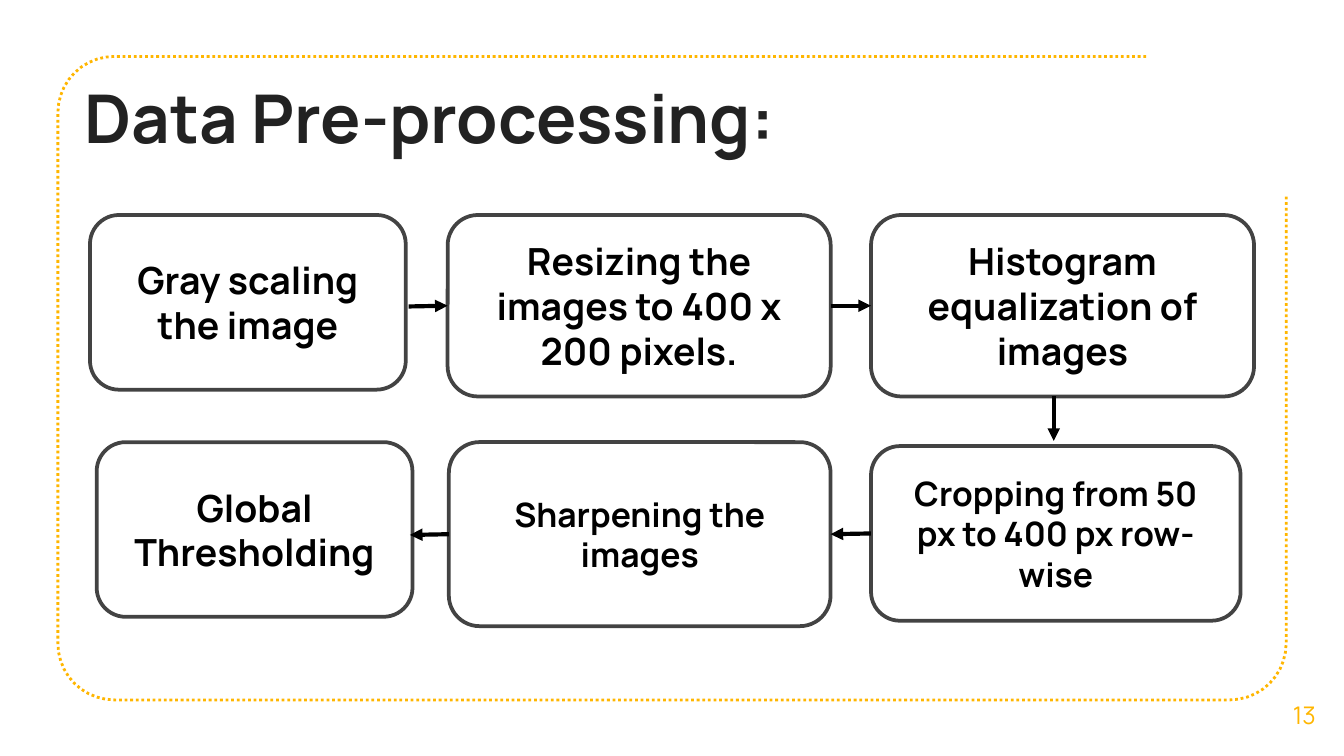
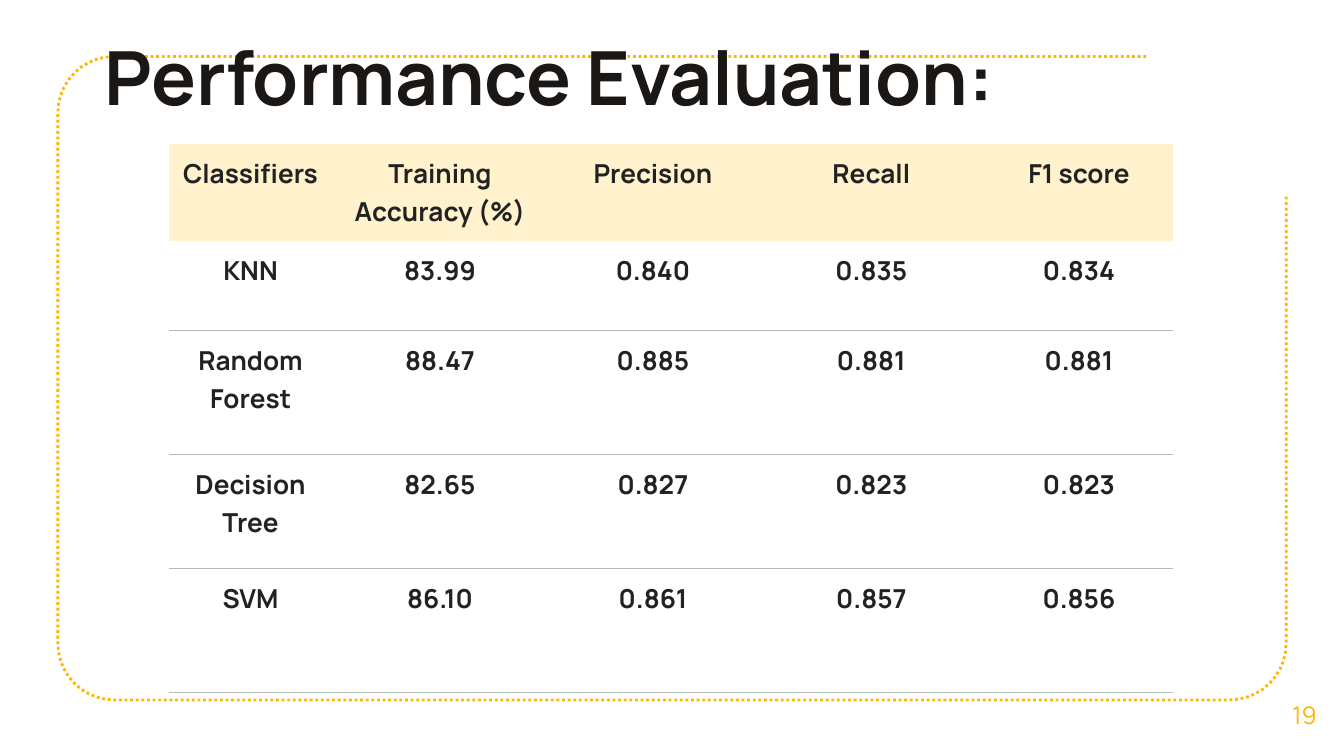
from math import cos, radians, sin

from lxml import etree
from pptx import Presentation
from pptx.dml.color import RGBColor
from pptx.enum.dml import MSO_LINE
from pptx.enum.shapes import MSO_CONNECTOR, MSO_SHAPE
from pptx.enum.text import MSO_ANCHOR, PP_ALIGN
from pptx.oxml.ns import qn
from pptx.util import Pt

FONT = "Manrope"
GOLD = RGBColor(0xFF, 0xB6, 0x00)
CREAM = RGBColor(0xFF, 0xF2, 0xCC)
WHITE = RGBColor(0xFF, 0xFF, 0xFF)
BLACK = RGBColor(0x00, 0x00, 0x00)
INK = RGBColor(0x22, 0x22, 0x22)
BROWN = RGBColor(0x1A, 0x17, 0x14)
EDGE = RGBColor(0x43, 0x43, 0x43)
RULE = RGBColor(0xB4, 0xB9, 0xB9)
LEFT, CENTER = PP_ALIGN.LEFT, PP_ALIGN.CENTER
TOP, MIDDLE = MSO_ANCHOR.TOP, MSO_ANCHOR.MIDDLE
ROUND = MSO_SHAPE.ROUNDED_RECTANGLE
STRAIGHT = MSO_CONNECTOR.STRAIGHT
DOT = MSO_LINE.ROUND_DOT

STEPS = {
    "gray": ("Gray scaling the image", 20, (48.2, 115.2, 169.2, 93.6)),
    "resize": ("Resizing the images to 400 x 200 pixels.", 20,
               (239.8, 115.2, 205.2, 97.2)),
    "level": ("Histogram equalization of images", 20,
              (466.6, 115.2, 205.2, 97.2)),
    "crop": ("Cropping from 50 px to 400 px row-wise", 18,
             (466.6, 239, 198, 93.6)),
    "sharpen": ("Sharpening the images", 18, (240.5, 236.9, 204.5, 98.6)),
    "global": ("Global Thresholding", 20, (51.8, 236.9, 169.2, 93.6)),
}
ARROWS = [
    ((218.9, 164.2), ("resize", 1)),
    (("resize", 3), ("level", 1)),
    ((564.5, 212.4), (564.5, 236.2)),
    (("crop", 1), ("sharpen", 3)),
    (("sharpen", 1), (219.6, 286.6)),
]
SCORES = [
    ("Classifiers", "Training Accuracy (%)", "Precision", "Recall", "F1 score"),
    ("KNN", "83.99", "0.840", "0.835", "0.834"),
    ("Random Forest", "88.47", "0.885", "0.881", "0.881"),
    ("Decision Tree", "82.65", "0.827", "0.823", "0.823"),
    ("SVM", "86.10", "0.861", "0.857", "0.856"),
]
COLS = [87.1, 115.9, 112.3, 121.7, 100.8]
ROWS = [52, 48, 66.4, 61.2, 66.4]


def write(frame, text, size=14, color=INK, bold=True, align=CENTER,
          space=None, after=None):
    para = frame.paragraphs[0]
    para.alignment = align
    para.line_spacing = space
    if after:
        para.space_after = Pt(after)
    run = para.add_run()
    run.text = text
    font = run.font
    font.name, font.size, font.bold = FONT, Pt(size), bold
    font.color.rgb = color


def label(slide, text, area, anchor=TOP, **style):
    frame = slide.shapes.add_textbox(*map(Pt, area)).text_frame
    frame.word_wrap = True
    frame.vertical_anchor = anchor
    frame.margin_top = frame.margin_bottom = Pt(7.2)
    write(frame, text, **style)


def border(slide):
    left, top, right, low, rad = 31, 30.25, 689, 375, 30.25
    dots = [(614, top)]
    for x, y, start in ((left + rad, top + rad, 270),
                        (left + rad, low - rad, 180),
                        (right - rad, low - rad, 90)):
        for step in range(11):
            turn = radians(start - 9 * step)
            dots.append((x + rad * cos(turn), y + rad * sin(turn)))
    dots.append((right, 105))
    pens = [(Pt(x), Pt(y)) for x, y in dots]
    build = slide.shapes.build_freeform(*pens[0])
    build.add_line_segments(pens[1:], close=False)
    shape = build.convert_to_shape()
    shape.shadow.inherit = False
    shape.fill.background()
    shape.line.color.rgb = GOLD
    shape.line.width = Pt(1.5)
    shape.line.dash_style = DOT


def page(deck, title, area, number, **style):
    slide = deck.slides.add_slide(deck.slide_layouts[6])
    border(slide)
    label(slide, title, area, align=LEFT, **style)
    label(slide, number, (677.5, 361.4, 42.5, 43), anchor=MIDDLE,
          size=13, color=GOLD, bold=False)
    return slide


def box(slide, text, size, area):
    shape = slide.shapes.add_shape(ROUND, *map(Pt, area))
    shape.shadow.inherit = False
    shape.fill.solid()
    shape.fill.fore_color.rgb = WHITE
    shape.line.color.rgb = EDGE
    shape.line.width = Pt(2)
    frame = shape.text_frame
    frame.word_wrap = True
    frame.vertical_anchor = MIDDLE
    write(frame, text, size=size, color=BLACK)
    return shape


def arrow(slide, boxes, start, end):
    link = slide.shapes.add_connector(STRAIGHT, 0, 0, 0, 0)
    if start[0] in boxes:
        link.begin_connect(boxes[start[0]], start[1])
    else:
        link.begin_x, link.begin_y = map(Pt, start)
    if end[0] in boxes:
        link.end_connect(boxes[end[0]], end[1])
    else:
        link.end_x, link.end_y = map(Pt, end)
    link.line.color.rgb = BLACK
    link.line.width = Pt(2.25)
    etree.SubElement(link.line._get_or_add_ln(), qn("a:tailEnd"),
                     type="triangle")
    etree.SubElement(link._element.spPr, qn("a:effectLst"))


def edges(cell, above, below):
    props = cell._tc.get_or_add_tcPr()
    sides = (("lnL", False), ("lnR", False), ("lnT", above), ("lnB", below))
    for spot, (name, shown) in enumerate(sides):
        line = etree.Element(qn("a:" + name), w=str(Pt(0.75)))
        if shown:
            fill = etree.SubElement(line, qn("a:solidFill"))
            etree.SubElement(fill, qn("a:srgbClr"), val=str(RULE))
        else:
            etree.SubElement(line, qn("a:noFill"))
        props.insert(spot, line)


def grid(slide):
    area = (90.7, 77, sum(COLS), sum(ROWS))
    table = slide.shapes.add_table(len(ROWS), len(COLS),
                                   *map(Pt, area)).table
    table.first_row = table.horz_banding = False
    for col, width in zip(table.columns, COLS):
        col.width = Pt(width)
    for row, high in zip(table.rows, ROWS):
        row.height = Pt(high)
    for r, line in enumerate(SCORES):
        for c, text in enumerate(line):
            cell = table.cell(r, c)
            cell.margin_left = cell.margin_right = Pt(5)
            cell.margin_top = cell.margin_bottom = Pt(5)
            if r:
                cell.fill.background()
            else:
                cell.fill.solid()
                cell.fill.fore_color.rgb = CREAM
            edges(cell, r > 1, r > 0)
            write(cell.text_frame, text, space=1.07, after=8)


def main():
    deck = Presentation()
    deck.slide_width, deck.slide_height = Pt(720), Pt(405)

    flow = page(deck, "Data Pre-processing:", (38.2, 33.8, 540.7, 67.7), "13",
                size=36)
    boxes = {key: box(flow, *step) for key, step in STEPS.items()}
    for start, end in ARROWS:
        arrow(flow, boxes, start, end)

    result = page(deck, "Performance Evaluation:", (49, 9.4, 622, 67.7), "19",
                  size=40, color=BROWN)
    grid(result)
    deck.save("out.pptx")


if __name__ == "__main__":
    main()
